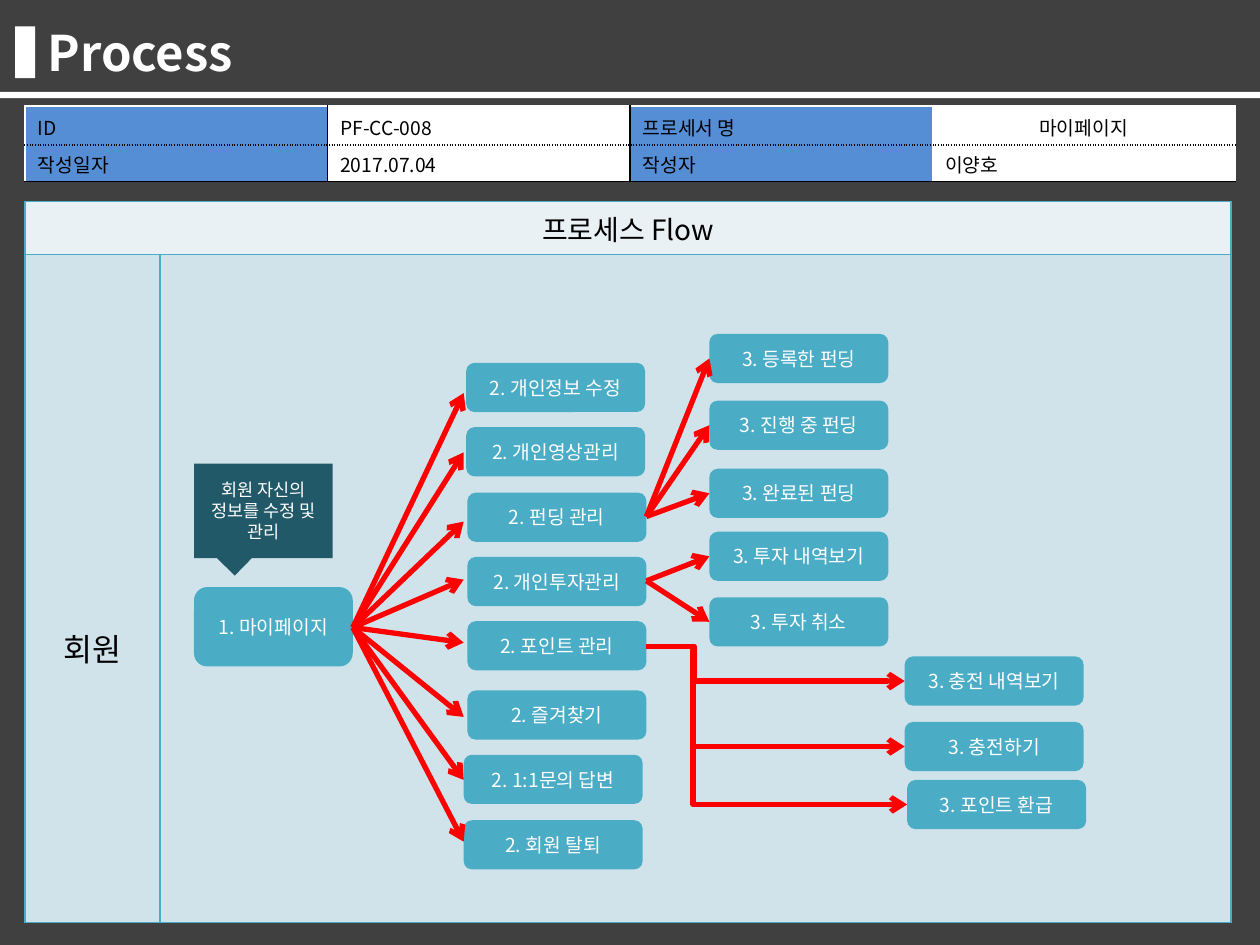
from lxml import etree
from pptx import Presentation
from pptx.dml.color import RGBColor
from pptx.enum.shapes import MSO_CONNECTOR, MSO_SHAPE
from pptx.enum.text import MSO_ANCHOR, PP_ALIGN
from pptx.oxml.ns import qn
from pptx.util import Inches, Pt

RECT, ROUNDED = MSO_SHAPE.RECTANGLE, MSO_SHAPE.ROUNDED_RECTANGLE
CALLOUT = MSO_SHAPE.RECTANGULAR_CALLOUT
STRAIGHT, ELBOW = MSO_CONNECTOR.STRAIGHT, MSO_CONNECTOR.ELBOW
LEFT, CENTER = PP_ALIGN.LEFT, PP_ALIGN.CENTER
MIDDLE = MSO_ANCHOR.MIDDLE
FONT = "Noto Sans CJK KR"
BLACK, WHITE, DARK = "000000", "FFFFFF", "404040"
TEAL, DEEP_TEAL, RED, BLUE = "4BACC6", "215968", "FF0000", "558ED5"
STEP_W, STEP_H = 1.42, 0.39


def color(hex_text):
    """Turn a hex string into a colour."""
    return RGBColor.from_string(hex_text)


def sub(parent, tag, **attributes):
    """Append a DrawingML element and return it."""
    element = etree.SubElement(parent, qn(tag))
    for key, value in attributes.items():
        element.set(key, str(value))
    return element


class ProcessSlide:
    """Style and drawing methods for one process slide."""

    def __init__(self, slide):
        """Keep the slide to draw on."""
        self.slide = slide

    def add_text(self, frame, text, size, ink, align=LEFT, bold=False):
        """Put one run of text in a text frame."""
        paragraph = frame.paragraphs[0]
        paragraph.alignment = align
        run = paragraph.add_run()
        run.text = text
        run.font.size, run.font.bold, run.font.name = Pt(size), bold, FONT
        run.font.color.rgb = color(ink)
        sub(run._r.get_or_add_rPr(), "a:ea", typeface=FONT)

    def label(self, text, box, size, ink, bold=False):
        """Add a text box."""
        frame = self.slide.shapes.add_textbox(*map(Inches, box)).text_frame
        frame.word_wrap = True
        self.add_text(frame, text, size, ink, bold=bold)

    def block(self, kind, box, fill, text="", size=11, adjust=()):
        """Add a filled shape with optional centred text."""
        shape = self.slide.shapes.add_shape(kind, *map(Inches, box))
        shape.shadow.inherit = False
        shape.fill.solid()
        shape.fill.fore_color.rgb = color(fill)
        shape.line.fill.background()
        for index, value in enumerate(adjust):
            shape.adjustments[index] = value
        if text:
            shape.text_frame.word_wrap = True
            shape.text_frame.vertical_anchor = MIDDLE
            self.add_text(shape.text_frame, text, size, WHITE, CENTER)

    def step(self, text, left, top):
        """Add one step of the flow."""
        self.block(ROUNDED, (left, top, STEP_W, STEP_H), TEAL, text)

    def arrow(self, start, end, bend_x=None):
        """Add a red arrow, with an elbow at bend_x when given."""
        kind = STRAIGHT if bend_x is None else ELBOW
        line = self.slide.shapes.add_connector(kind, *map(Inches, (*start, *end)))
        line.line.color.rgb = color(RED)
        line.line.width = Pt(3)
        properties = line._element.spPr
        sub(properties.find(qn("a:ln")), "a:tailEnd", type="arrow")
        sub(properties, "a:effectLst")
        if bend_x is not None:
            share = round((bend_x - start[0]) / (end[0] - start[0]) * 100000)
            guides = properties.find(qn("a:prstGeom")).get_or_add_avLst()
            sub(guides, "a:gd", name="adj1", fmla=f"val {share}")

    def table(self, left, top, widths, heights):
        """Add a table without a banded style."""
        box = (left, top, sum(widths), sum(heights))
        table = self.slide.shapes.add_table(
            len(heights), len(widths), *map(Inches, box)).table
        table.first_row = table.horz_banding = False
        for column, width in zip(table.columns, widths):
            column.width = Inches(width)
        for row, height in zip(table.rows, heights):
            row.height = Inches(height)
        return table

    def cell(self, cell, fill, borders, text="", size=11, align=LEFT):
        """Style a cell; borders are (colour, dash) for left, right, top, bottom."""
        properties = cell._tc.get_or_add_tcPr()
        for side, (ink, dash) in zip("LRTB", borders):
            line = sub(properties, f"a:ln{side}", w=Pt(1))
            sub(sub(line, "a:solidFill"), "a:srgbClr", val=ink)
            sub(line, "a:prstDash", val=dash)
        cell.fill.solid()
        cell.fill.fore_color.rgb = color(fill)
        cell.vertical_anchor = MIDDLE
        if text:
            self.add_text(cell.text_frame, text, size, BLACK, align)


prs = Presentation()
prs.slide_width, prs.slide_height = Inches(10), Inches(7.5)
page = ProcessSlide(prs.slides.add_slide(prs.slide_layouts[6]))

# Title band
page.block(RECT, (0, 0, 10, 7.5), DARK)
page.label("Process", (0.28, 0.13, 8.98, 0.57), 28, WHITE, bold=True)
page.block(RECT, (0.12, 0.21, 0.16, 0.41), WHITE)
page.block(RECT, (0, 0.73, 10, 0.05), WHITE)

# Flow frame
teal_box = [(TEAL, "solid")] * 4
frame = page.table(0.2, 1.6, (1.07, 8.5), (0.42, 5.3))
for c in range(2):
    page.cell(frame.cell(0, c), "E9F1F5", teal_box)
frame.cell(0, 0).merge(frame.cell(0, 1))
page.add_text(frame.cell(0, 0).text_frame, "프로세스 Flow", 16, BLACK, CENTER)
page.cell(frame.cell(1, 0), "D0E3EA", teal_box, "회원", 18, CENTER)
frame.cell(1, 0).margin_top = Inches(1)
page.cell(frame.cell(1, 1), "D0E3EA", teal_box)

# Document facts
facts = (("ID", "PF-CC-008", "프로세서 명", "마이페이지"),
         ("작성일자", "2017.07.04", "작성자", "이양호"))
upright = [(ink, "solid") for ink in (WHITE, BLACK, BLACK, WHITE, WHITE)]
level = [(WHITE, "solid"), (BLACK, "sysDot"), (BLACK, "solid")]
info = page.table(0.2, 0.84, [2.4] * 4, (0.31, 0.29))
for r, row in enumerate(facts):
    for c, fact in enumerate(row):
        cell = info.cell(r, c)
        cell.margin_top, cell.margin_bottom = Inches(0.04), Inches(0.02)
        page.cell(cell, WHITE if c % 2 else BLUE,
                  (upright[c], upright[c + 1], level[r], level[r + 1]), fact,
                  align=CENTER if (r, c) == (0, 3) else LEFT)

# Start of the flow
page.block(ROUNDED, (1.54, 4.66, 1.26, 0.63), TEAL, "1. 마이페이지")
page.block(CALLOUT, (1.54, 3.68, 1.1, 0.75), DEEP_TEAL,
           "회원 자신의 정보를 수정 및 관리", 10, (-0.206, 0.685))

# Second steps: text, left, top, arrow tip
second_steps = (
    ("2. 개인정보 수정", 3.7, 2.88, 3.12), ("2. 개인영상관리", 3.7, 3.39, 3.59),
    ("2. 펀딩 관리", 3.71, 3.91, 4.14), ("2. 개인투자관리", 3.71, 4.42, 4.6),
    ("2. 포인트 관리", 3.71, 4.93, 5.1), ("2. 즐겨찾기", 3.71, 5.48, 5.69),
    ("2. 1:1문의 답변", 3.68, 5.99, 6.19), ("2. 회원 탈퇴", 3.68, 6.51, 6.68))
for text, left, top, tip in second_steps:
    page.step(text, left, top)
    page.arrow((2.8, 4.98), (3.68, tip))

# Third steps: text, left, top, height of the arrow's start, bend
third_steps = (
    ("3. 등록한 펀딩", 5.63, 2.65, 4.1, None), ("3. 진행 중 펀딩", 5.63, 3.18, 4.1, None),
    ("3. 완료된 펀딩", 5.63, 3.72, 4.1, None), ("3. 투자 내역보기", 5.63, 4.22, 4.61, None),
    ("3. 투자 취소", 5.63, 4.74, 4.61, None), ("3. 충전 내역보기", 7.18, 5.21, 5.13, 5.51),
    ("3. 충전하기", 7.18, 5.73, 5.13, 5.5), ("3. 포인트 환급", 7.2, 6.19, 5.13, 5.5))
for text, left, top, start_y, bend_x in third_steps:
    page.step(text, left, top)
    page.arrow((5.13, start_y), (left, top + STEP_H / 2), bend_x)

prs.save("out.pptx")
